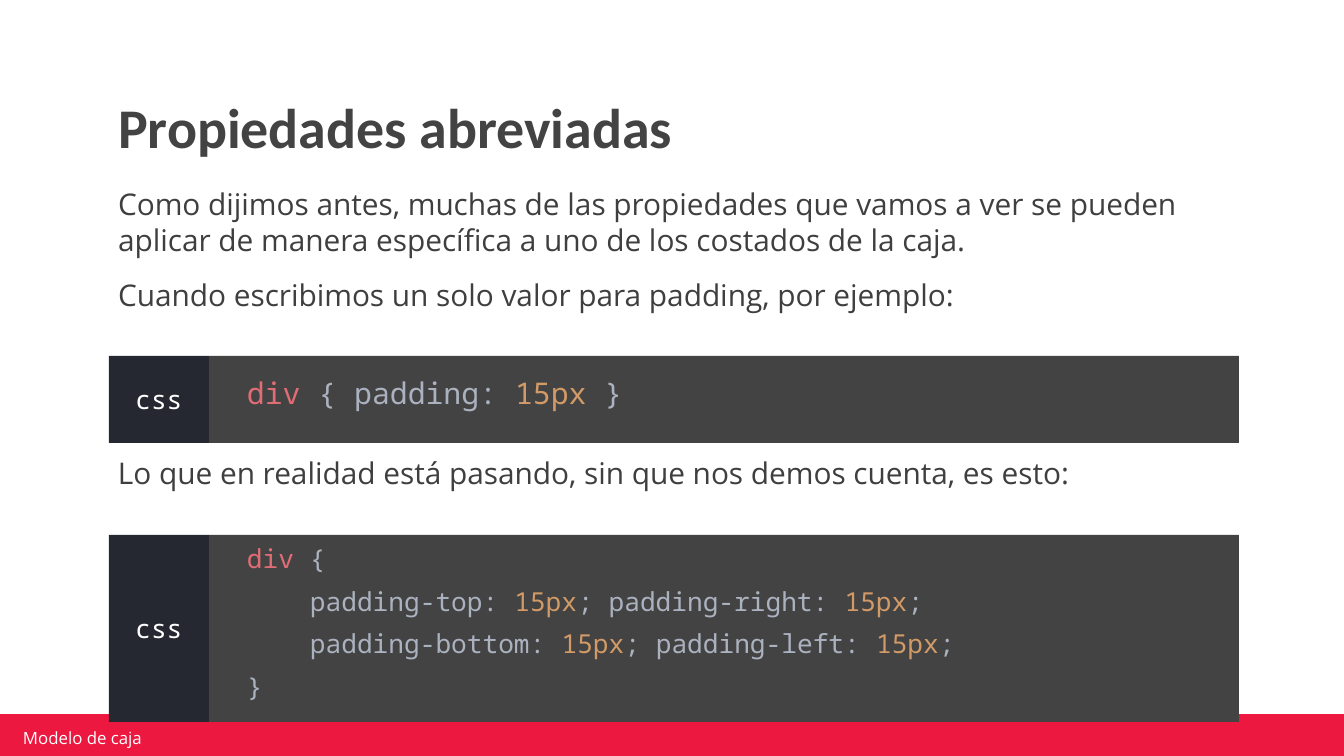
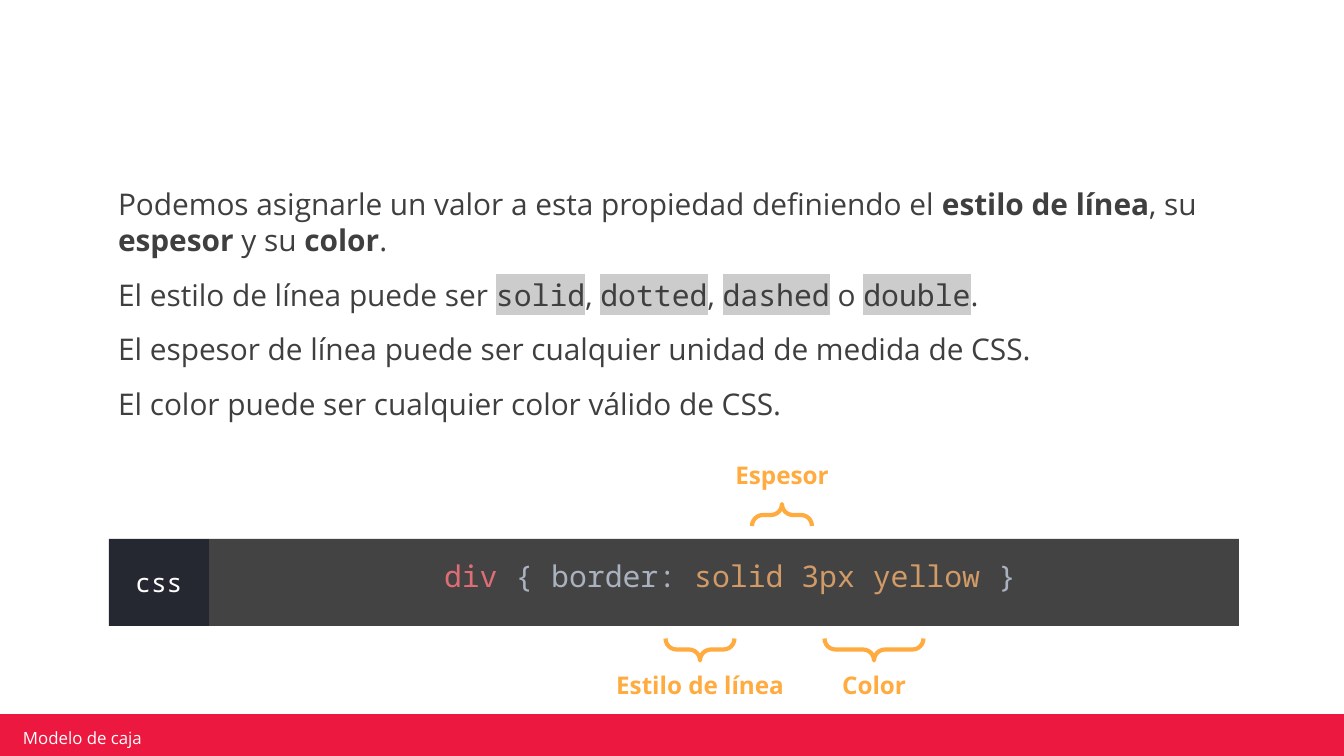
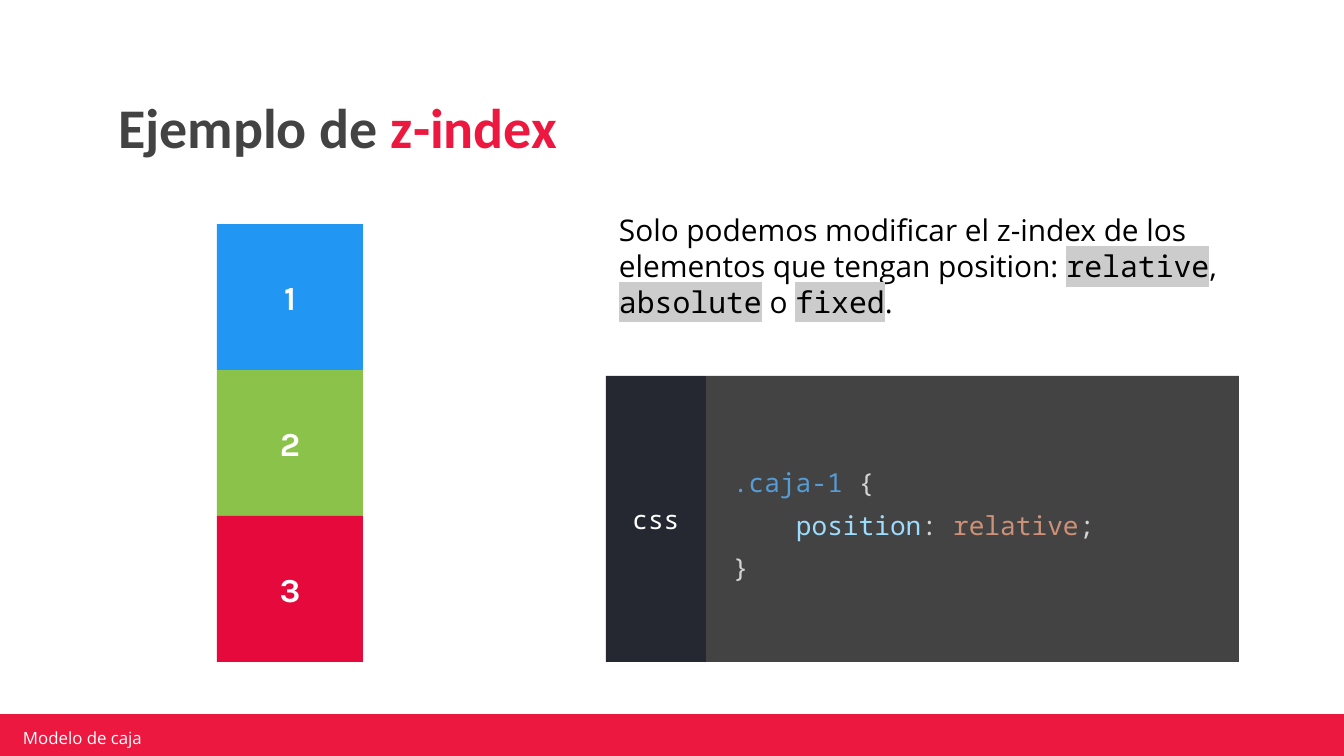
"""Build three slides on the CSS box model and save them as out.pptx."""
from dataclasses import dataclass

from lxml import etree
from pptx import Presentation
from pptx.dml.color import RGBColor
from pptx.enum.shapes import MSO_SHAPE
from pptx.enum.text import MSO_ANCHOR, MSO_AUTO_SIZE, PP_ALIGN
from pptx.oxml.ns import qn
from pptx.util import Pt

PX = 6804
RECTANGLE, BRACE = MSO_SHAPE.RECTANGLE, MSO_SHAPE.RIGHT_BRACE
LEFT, CENTER = PP_ALIGN.LEFT, PP_ALIGN.CENTER
TOP, MIDDLE, BOTTOM = MSO_ANCHOR.TOP, MSO_ANCHOR.MIDDLE, MSO_ANCHOR.BOTTOM


@dataclass(frozen=True)
class Theme:
    heading_font: str = "Calibri"
    body_font: str = "Open Sans"
    code_font: str = "Noto Sans Mono"
    number_font: str = "Karla"
    red: str = "EC183F"
    white: str = "FFFFFF"
    black: str = "000000"
    heading: str = "434343"
    body: str = "3F3F3F"
    code_fill: str = "434343"
    tag_fill: str = "262831"
    chip: str = "CCCCCC"
    accent: str = "FFAB40"
    selector: str = "E06C75"
    code: str = "ABB2BF"
    value: str = "D19A66"
    class_name: str = "569CD6"
    property_name: str = "9CDCFE"
    keyword: str = "CE9178"
    plain: str = "D4D4D4"
    stack: tuple = ("2196F3", "8BC34A", "E50A3B")
    title_size: int = 30
    number_size: int = 18
    body_size: int = 16
    code_size: int = 14
    label_size: int = 13
    footer_size: int = 9


theme = Theme()


def add_box(page, place, fill=None):
    """Add a filled rectangle, or a text box when there is no fill."""
    area = [length * PX for length in place]
    if fill is None:
        return page.shapes.add_textbox(*area)
    box = page.shapes.add_shape(RECTANGLE, *area)
    box.shadow.inherit = False
    box.fill.solid()
    box.fill.fore_color.rgb = RGBColor.from_string(fill)
    box.line.fill.background()
    return box


def write(box, paras, *, font=theme.body_font, size=theme.body_size, color=theme.body,
          bold=False, align=LEFT, anchor=TOP, inset=(13, 13, 13, 13), before=0,
          spacing=1.0, indents=None):
    """Fill a shape with paragraphs of (text, changes) spans."""
    frame = box.text_frame
    frame.word_wrap = True
    frame.auto_size = MSO_AUTO_SIZE.NONE
    frame.vertical_anchor = anchor
    (frame.margin_left, frame.margin_top,
     frame.margin_right, frame.margin_bottom) = [length * PX for length in inset]
    for index, spans in enumerate(paras):
        para = frame.add_paragraph() if index else frame.paragraphs[0]
        para.alignment = align
        para.space_before = Pt(before)
        para.line_spacing = spacing
        properties = para._p.get_or_add_pPr()
        properties.set("marL", str(indents[index] * PX if indents else 0))
        properties.set("indent", "0")
        etree.SubElement(properties, qn("a:buNone"))
        for text, changes in spans:
            span = para.add_run()
            span.text = text
            span.font.name = changes.get("font", font)
            span.font.size = Pt(size)
            span.font.bold = changes.get("bold", bold)
            span.font.color.rgb = RGBColor.from_string(changes.get("color", color))
            if "highlight" in changes:
                highlight = etree.Element(qn("a:highlight"))
                etree.SubElement(highlight, qn("a:srgbClr")).set("val", changes["highlight"])
                span.font._element.find(qn("a:solidFill")).addnext(highlight)


base = {}
strong = {"bold": True}
chip = {"font": theme.code_font, "highlight": theme.chip}
red = {"color": theme.red}
selector = {"color": theme.selector}
value = {"color": theme.value}
class_name = {"color": theme.class_name}
property_name = {"color": theme.property_name}
keyword = {"color": theme.keyword}

deck = Presentation()
deck.slide_width, deck.slide_height = 1344 * PX, 756 * PX
layout = deck.slide_layouts[1]

title_place = (105, 81, 1133, 93)
body_place = (105, 173, 1133, 183)
body_format = {"before": 10}
contents = [
    ([("Propiedades abreviadas", base)], body_place, body_format, [
        [("Como dijimos antes, muchas de las propiedades que vamos a ver se pueden "
          "aplicar de manera específica a uno de los costados de la caja.", base)],
        [("Cuando escribimos un solo valor para padding, por ejemplo:", base)],
    ]),
    (None, body_place, body_format, [
        [("Podemos asignarle un valor a esta propiedad definiendo el ", base),
         ("estilo de línea", strong), (", su ", base), ("espesor", strong),
         (" y su ", base), ("color", strong), (".", base)],
        [("El estilo de línea puede ser ", base), ("solid", chip), (", ", base),
         ("dotted", chip), (", ", base), ("dashed", chip), (" o ", base),
         ("double", chip), (".", base)],
        [("El espesor de línea puede ser cualquier unidad de medida de CSS.", base)],
        [("El color puede ser cualquier color válido de CSS.", base)],
    ]),
    ([("Ejemplo de ", base), ("z-index", red)], (606, 199, 633, 137),
     {"color": theme.black}, [
        [("Solo podemos modificar el z-index de los elementos que tengan position: ", base),
         ("relative", chip), (", ", base), ("absolute", chip), (" o ", base),
         ("fixed", chip), (".", base)],
    ]),
]

pages = []
for title_spans, place, text_format, paras in contents:
    page = deck.slides.add_slide(layout)
    pages.append(page)
    title, body = page.shapes.title, page.placeholders[1]
    body.left, body.top, body.width, body.height = [length * PX for length in place]
    write(body, paras, **text_format)
    if title_spans is None:
        title.element.getparent().remove(title.element)
    else:
        title.left, title.top, title.width, title.height = [n * PX for n in title_place]
        write(title, [title_spans], font=theme.heading_font, size=theme.title_size,
              color=theme.heading, bold=True, anchor=BOTTOM, spacing=0.9)

shorthand_page, border_page, stack_page = pages

band = add_box(shorthand_page, (-3, 714, 1348, 48), theme.red)
footer = add_box(shorthand_page, (16, 728, 321, 20))
write(footer, [[("Modelo de caja", base)]], size=theme.footer_size, color=theme.white,
      anchor=MIDDLE, inset=(7, 3, 7, 3))
for number, box in enumerate((band, footer), start=101):
    box.element.nvSpPr.cNvPr.set("id", str(number))
    deck.slide_master.shapes.element.append(box.element)

result = add_box(shorthand_page, (105, 442, 1133, 93))
write(result, [[("Lo que en realidad está pasando, sin que nos demos cuenta, es esto:", base)]],
      before=10)

code_right, tag_width = 1239, 100
css_format = {"color": theme.code, "before": 6, "inset": (11, 0, 13, 13)}
class_format = {"color": theme.plain, "spacing": 1.36, "inset": (27, 0, 13, 0)}
code_blocks = [
    (shorthand_page, 109, 356, 87, theme.body_size, css_format, (27,), [
        [("div ", selector), ("{ padding: ", base), ("15px", value), (" }", base)],
    ]),
    (shorthand_page, 109, 535, 187, theme.code_size, css_format, (27, 90, 90, 27), [
        [("div ", selector), ("{", base)],
        [("padding-top: ", base), ("15px", value), ("; padding-right: ", base),
         ("15px", value), (";", base)],
        [("padding-bottom: ", base), ("15px", value), ("; padding-left: ", base),
         ("15px", value), (";", base)],
        [("}", base)],
    ]),
    (border_page, 109, 539, 87, theme.body_size, css_format, (224,), [
        [("div ", selector), ("{ border: ", base), ("solid 3px yellow", value), (" }", base)],
    ]),
    (stack_page, 606, 376, 286, theme.code_size, class_format, (0, 63, 0), [
        [(".caja-1", class_name), (" {", base)],
        [("position", property_name), (": ", base), ("relative", keyword), (";", base)],
        [("}", base)],
    ]),
]
for page, left, top, height, size, code_format, indents, lines in code_blocks:
    code_left = left + tag_width
    code = add_box(page, (code_left, top, code_right - code_left, height), theme.code_fill)
    write(code, lines, font=theme.code_font, size=size, anchor=MIDDLE,
          indents=indents, **code_format)
    tag = add_box(page, (left, top, tag_width, height), theme.tag_fill)
    write(tag, [[("css", base)]], font=theme.code_font, size=theme.code_size,
          color=theme.white, align=CENTER, anchor=MIDDLE)

brace_depth, label_height = 22, 50
callouts = [
    ("Color", 874, 649, 99, 90, 660, 118),
    ("Estilo de línea", 700, 649, 69, 90, 660, 220),
    ("Espesor", 782, 515, 60, 270, 450, 168),
]
for text, center, middle, span_length, rotation, label_top, label_width in callouts:
    brace = border_page.shapes.add_shape(
        BRACE, (center - brace_depth // 2) * PX, (middle - span_length // 2) * PX,
        brace_depth * PX, span_length * PX)
    brace.rotation = rotation
    brace.adjustments[0] = brace.adjustments[1] = 0.5
    brace.shadow.inherit = False
    brace.fill.background()
    brace.line.color.rgb = RGBColor.from_string(theme.accent)
    brace.line.width = Pt(2.25)
    label = add_box(border_page, (center - label_width // 2, label_top, label_width, label_height))
    write(label, [[(text, base)]], size=theme.label_size, color=theme.accent, bold=True,
          align=CENTER, anchor=MIDDLE, before=6)

side = 146
for index, fill in enumerate(theme.stack):
    square = add_box(stack_page, (217, 224 + index * side, side, side), fill)
    write(square, [[(str(index + 1), base)]], font=theme.number_font, size=theme.number_size,
          color=theme.white, bold=True, align=CENTER, anchor=MIDDLE)

deck.save("out.pptx")
